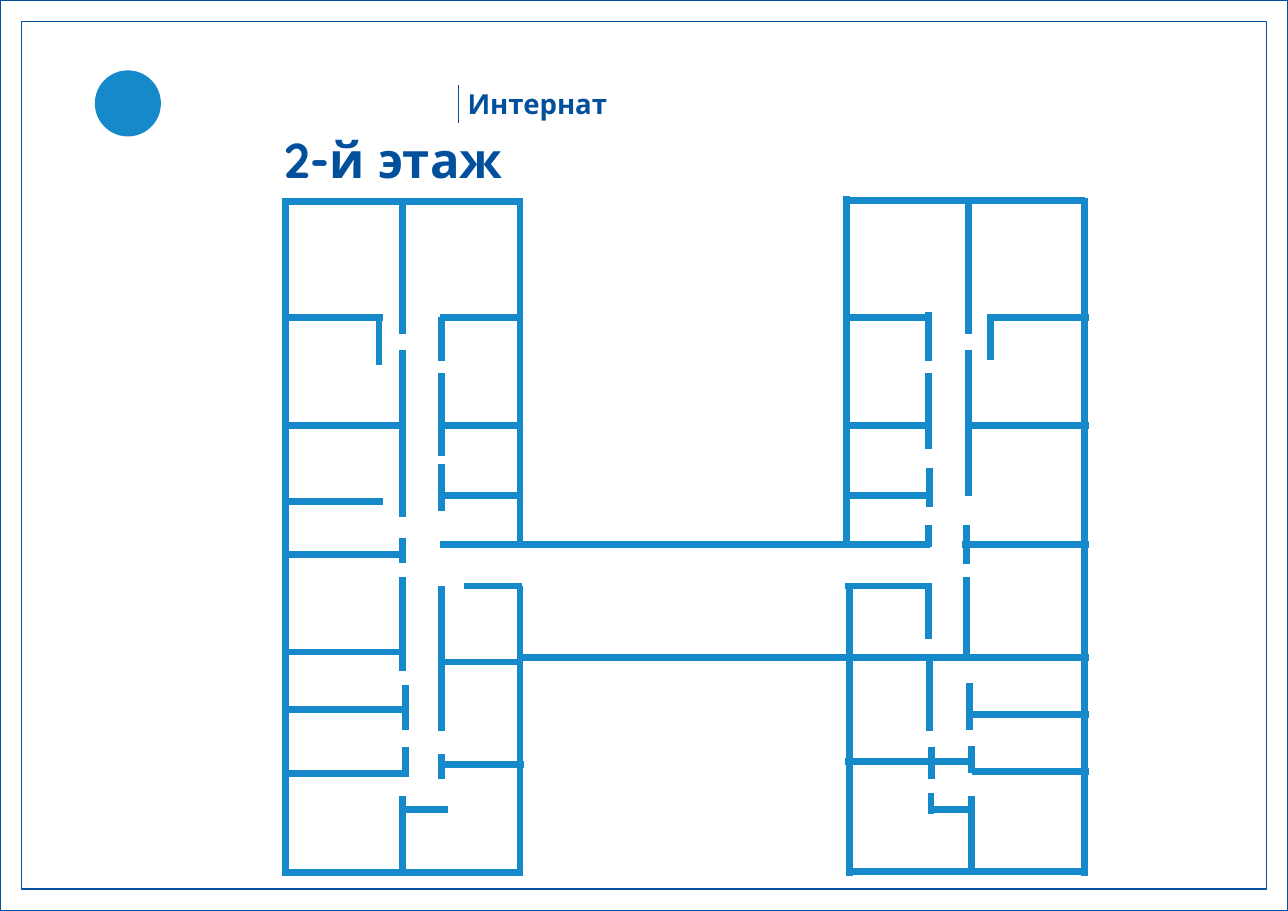
from lxml import etree
from pptx import Presentation
from pptx.dml.color import RGBColor
from pptx.enum import shapes, text
from pptx.oxml import ns
from pptx.util import Pt

COLORS = {"navy": "02509B", "wall": "1689CA"}
FONT = "Quicksand"
PAGE_WIDTH, PAGE_HEIGHT = 841.68, 595.44
WALL_WIDTH = 4.5

# Walls of each part, relative to its corner:
# rows are {y: [(left, right), ...]}, columns are {x: [(top, bottom), ...]}
LEFT_WING = {
    "rows": {
        3.8: [(0, 157.3)],
        79.4: [(2.5, 66), (103.3, 156)],
        150: [(2.5, 79), (103.3, 157.3)],
        196: [(103.3, 157.3)],
        199.6: [(0, 66)],
        234.2: [(0, 79)],
        255: [(119, 157.3)],
        298.2: [(0, 79)],
        304.7: [(103.3, 157.3)],
        335.7: [(2.5, 81)],
        371.7: [(103.3, 158.7)],
        377.4: [(0, 79)],
        401: [(81, 109)],
        442.2: [(0, 157.3)],
    },
    "columns": {
        2.5: [(3.8, 444.4)],
        63.7: [(80.8, 110.3)],
        78.8: [(3.8, 90.2), (101, 209.7), (223.4, 240), (249.3, 310.5), (392, 442.2)],
        81: [(320, 349.4), (360, 379.6)],
        104.7: [(79.4, 108.2), (116, 170), (175, 206), (255, 350), (365, 381)],
        155.8: [(1.6, 227), (255, 444.4)],
    },
}
RIGHT_WING = {
    "rows": {
        3: [(1.2, 158.2)],
        79.4: [(1.2, 56.7), (95, 160.4)],
        150: [(1.2, 56.7), (82, 160.4)],
        196: [(0, 58)],
        227.7: [(77.6, 160.4)],
        255: [(1.2, 58)],
        301.8: [(79.7, 160.4)],
        339.3: [(82, 160.4)],
        369.5: [(1.2, 84)],
        376: [(84, 160.4)],
        401: [(56, 82.6)],
        441.5: [(2.7, 158.2)],
    },
    "columns": {
        2: [(0, 225.5)],
        4: [(255, 444.4)],
        56: [(75.8, 108.2), (116, 165.8), (215.4, 229.8), (254.3, 289.6)],
        56.7: [(178, 203.2), (301, 350)],
        57.4: [(390.4, 404)],
        58: [(360, 381)],
        80.4: [(215.4, 240.6), (249.3, 301.8)],
        82: [(1.6, 90.2), (101, 196)],
        82.6: [(318.4, 349.4)],
        84: [(359.4, 377.4), (392, 442.2)],
        96.3: [(77, 107.4)],
        157.5: [(1.6, 444.4)],
    },
}
CORRIDOR = {"rows": {0: [(0, 320.5)], 74: [(54, 346)]}, "columns": {}}


def color(name):
    return RGBColor.from_string(COLORS[name])


def add_line(page, start, end, name, width):
    line = page.shapes.add_connector(
        shapes.MSO_CONNECTOR.STRAIGHT, *(Pt(value) for value in (*start, *end)))
    line.line.color.rgb = color(name)
    line.line.width = Pt(width)
    etree.SubElement(line._element.spPr, ns.qn("a:effectLst"))


def write_label(box, label, size):
    frame = box.text_frame
    frame.text = label
    frame.word_wrap = True
    frame.vertical_anchor = text.MSO_ANCHOR.TOP
    frame.auto_size = text.MSO_AUTO_SIZE.NONE
    frame.margin_left = frame.margin_top = Pt(1)
    frame.margin_right = frame.margin_bottom = 0
    para = frame.paragraphs[0]
    para.alignment = text.PP_ALIGN.LEFT
    font = para.runs[0].font
    font.name, font.size, font.bold = FONT, Pt(size), True
    font.color.rgb = color("navy")


def draw_border(page, left, top, width, height):
    border = page.shapes.add_shape(
        shapes.MSO_SHAPE.RECTANGLE, Pt(left), Pt(top), Pt(width), Pt(height))
    border.shadow.inherit = False
    border.fill.background()
    border.line.color.rgb = color("navy")
    border.line.width = Pt(1)


def draw_header(page, left, top):
    # Plain disc in the emblem's place
    disc = page.shapes.add_shape(
        shapes.MSO_SHAPE.OVAL, Pt(left), Pt(top), Pt(43.2), Pt(43.2))
    disc.shadow.inherit = False
    disc.fill.solid()
    disc.fill.fore_color.rgb = color("wall")
    disc.line.fill.background()

    # Divider and building name
    divider = left + 237.6
    add_line(page, (divider, top + 9.4), (divider, top + 34.6), "navy", 1)
    building = page.shapes.add_textbox(
        Pt(left + 242.6), Pt(top + 10), Pt(165), Pt(23))
    write_label(building, "Интернат", 18)

    # Floor title
    title = page.shapes.title
    title.left, title.top = Pt(left + 122.4), Pt(top + 37.4)
    title.width, title.height = Pt(158.4), Pt(39.6)
    write_label(title, "2-й этаж", 32)


def draw_walls(page, left, top, plan):
    for y, spans in plan["rows"].items():
        for start, end in spans:
            add_line(page, (left + start, top + y), (left + end, top + y),
                     "wall", WALL_WIDTH)
    for x, spans in plan["columns"].items():
        for start, end in spans:
            add_line(page, (left + x, top + start), (left + x, top + end),
                     "wall", WALL_WIDTH)


def main():
    deck = Presentation()
    deck.slide_width, deck.slide_height = Pt(PAGE_WIDTH), Pt(PAGE_HEIGHT)
    page = deck.slides.add_slide(deck.slide_layouts[5])

    # Page edge and inner frame
    draw_border(page, 0, 0, PAGE_WIDTH, PAGE_HEIGHT)
    draw_border(page, 14.2, 14.2, 813.4, 567)
    draw_header(page, 62, 46)

    # Floor plan
    draw_walls(page, 184, 128, LEFT_WING)
    draw_walls(page, 551, 128, RIGHT_WING)
    draw_walls(page, 287.3, 355.8, CORRIDOR)
    deck.save("out.pptx")


if __name__ == "__main__":
    main()
